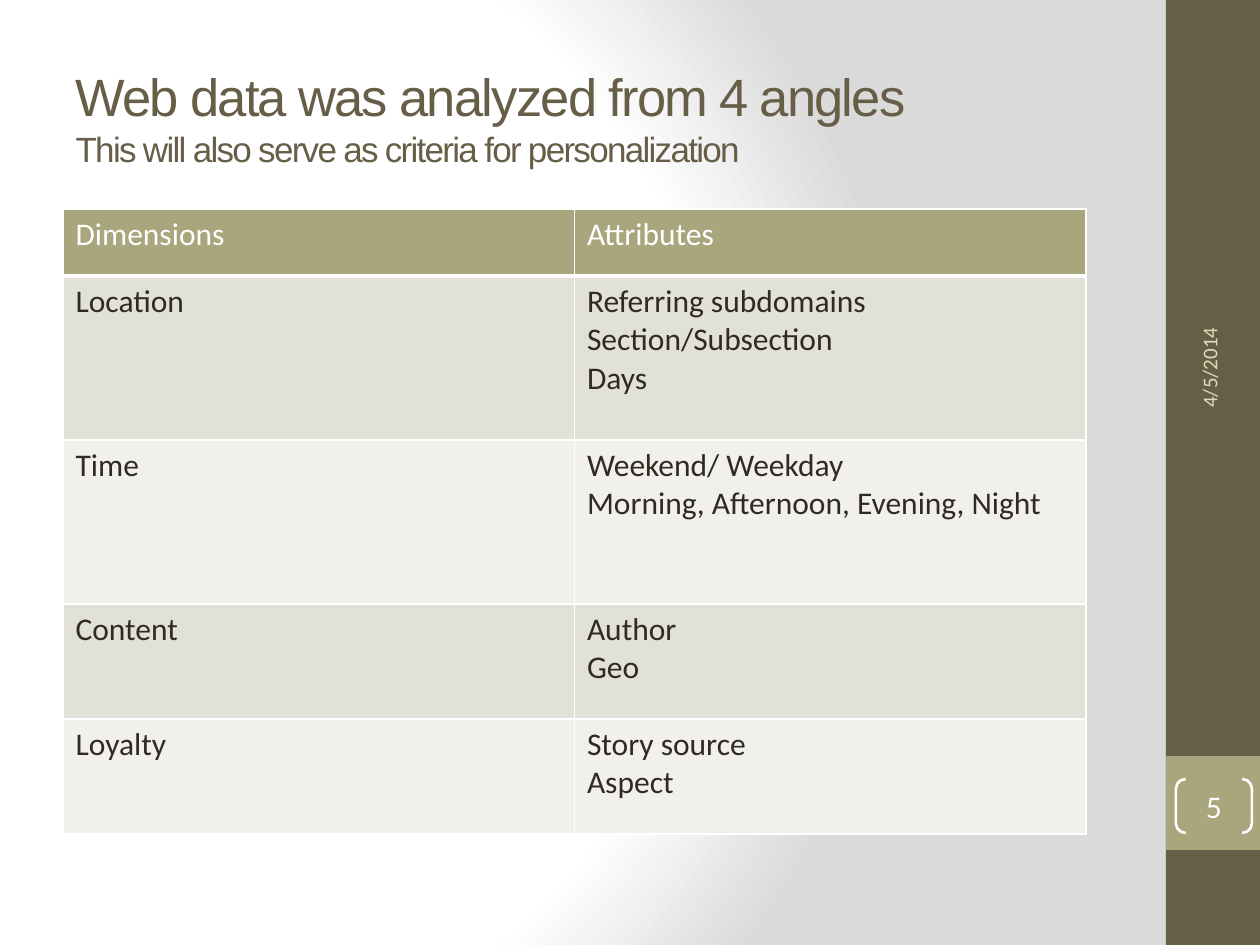
from lxml import etree
from pptx import Presentation
from pptx.dml.color import RGBColor
from pptx.enum.shapes import MSO_SHAPE as Shape
from pptx.enum.text import MSO_ANCHOR as Anchor, MSO_AUTO_SIZE as AutoSize, PP_ALIGN as Align
from pptx.oxml import parse_xml
from pptx.oxml.ns import nsdecls, qn
from pptx.util import Pt

PX = 914400 // 126
COLORS = {
    "bark": "675E47", "olive": "A9A57C", "sand": "DFDCB7", "ink": "2F2B20",
    "band": "E2E1D7", "pale": "F1F0EC", "white": "FFFFFF", "grey": "DADADA",
}


def color(name):
    return RGBColor.from_string(COLORS[name])


def add_span(para, text, size, tint, font="Calibri"):
    span = para.add_run()
    span.text = text
    span.font.name = font
    span.font.size = Pt(size)
    span.font.bold = False
    span.font.color.rgb = color(tint)
    return span


deck = Presentation()
deck.slide_width, deck.slide_height = 1260 * PX, 945 * PX
page = deck.slides.add_slide(deck.slide_layouts[5])

# Background: round gradient from white to grey
page.background.fill.gradient()
gradient = page.element.find(".//" + qn("a:gradFill"))
stops = "".join(
    f'<a:gs pos="{place * 1000}"><a:srgbClr val="{COLORS[name]}"/></a:gs>'
    for place, name in ((0, "white"), (75, "white"), (100, "grey")))
gradient.getparent().replace(gradient, parse_xml(
    f'<a:gradFill {nsdecls("a")} rotWithShape="1"><a:gsLst>{stops}</a:gsLst>'
    '<a:path path="circle"><a:fillToRect l="20000" t="50000" r="100000" b="50000"/>'
    '</a:path></a:gradFill>'))

# Side bar with the number block
for top, height, name in ((0, 945, "bark"), (756, 94, "olive")):
    bar = page.shapes.add_shape(Shape.RECTANGLE, 1166 * PX, top * PX, 94 * PX, height * PX)
    bar.shadow.inherit = False
    bar.fill.solid()
    bar.fill.fore_color.rgb = color(name)
    bar.line.fill.background()

# Title and subtitle
title = page.shapes.title
title.left, title.top, title.width, title.height = 63 * PX, 38 * PX, 1050 * PX, 158 * PX
title.text_frame.auto_size = AutoSize.NONE
title.text_frame.vertical_anchor = Anchor.MIDDLE
para = title.text_frame.paragraphs[0]
para.alignment = Align.LEFT
heading = add_span(para, "Web data was analyzed from 4 angles", 30, "bark", "Arial")
para.add_line_break()
subtitle = add_span(para, "This will also serve as criteria for personalization", 20, "bark", "Arial")
for span in (heading, subtitle):
    span.font._element.set("spc", "-100")

# Date, reading upwards
date = page.shapes.add_textbox(1041 * PX, 227 * PX, 336 * PX, 50 * PX)
date.rotation = 270
date.text_frame.word_wrap = True
date.text_frame.vertical_anchor = Anchor.MIDDLE
add_span(date.text_frame.paragraphs[0], "4/5/2014", 12, "sand")

# Page number in brackets
bracket = page.shapes.add_shape(Shape.DOUBLE_BRACKET, 1176 * PX, 779 * PX, 76 * PX, 54 * PX)
bracket.adjustments[0] = 0.18
bracket.shadow.inherit = False
bracket.fill.background()
bracket.line.color.rgb = color("white")
bracket.line.width = Pt(1.5)
frame = bracket.text_frame
frame.margin_left = frame.margin_right = frame.margin_top = frame.margin_bottom = 0
frame.vertical_anchor = Anchor.MIDDLE
frame.paragraphs[0].alignment = Align.CENTER
add_span(frame.paragraphs[0], "5", 18, "white")

# Table: height of each row, then the lines in its two cells
rows = [
    (67, ["Dimensions"], ["Attributes"]),
    (164, ["Location"], ["Referring subdomains", "Section/Subsection", "Days"]),
    (164, ["Time"], ["Weekend/ Weekday", "Morning, Afternoon, Evening, Night"]),
    (115, ["Content"], ["Author", "Geo"]),
    (115, ["Loyalty"], ["Story source", "Aspect"]),
]
total = sum(row[0] for row in rows)
table = page.shapes.add_table(len(rows), 2, 63 * PX, 209 * PX, 1023 * PX, total * PX).table
for r, (height, *texts) in enumerate(rows):
    table.rows[r].height = height * PX
    header = r == 0
    fill = "olive" if header else ("pale", "band")[r % 2]
    for c, lines in enumerate(texts):
        cell = table.cell(r, c)
        for i, line in enumerate(lines):
            para = cell.text_frame.add_paragraph() if i else cell.text_frame.paragraphs[0]
            add_span(para, line, 18, "white" if header else "ink")
        cell.fill.solid()
        cell.fill.fore_color.rgb = color(fill)
        # Borders come before the fill in the cell properties
        props = cell._tc.get_or_add_tcPr()
        for i, side in enumerate(("lnL", "lnR", "lnT", "lnB")):
            width = Pt(3) if header and side == "lnB" else Pt(1)
            border = etree.Element(qn("a:" + side), w=str(width))
            solid = etree.SubElement(border, qn("a:solidFill"))
            etree.SubElement(solid, qn("a:srgbClr"), val=COLORS["white"])
            props.insert(i, border)

deck.save("out.pptx")
